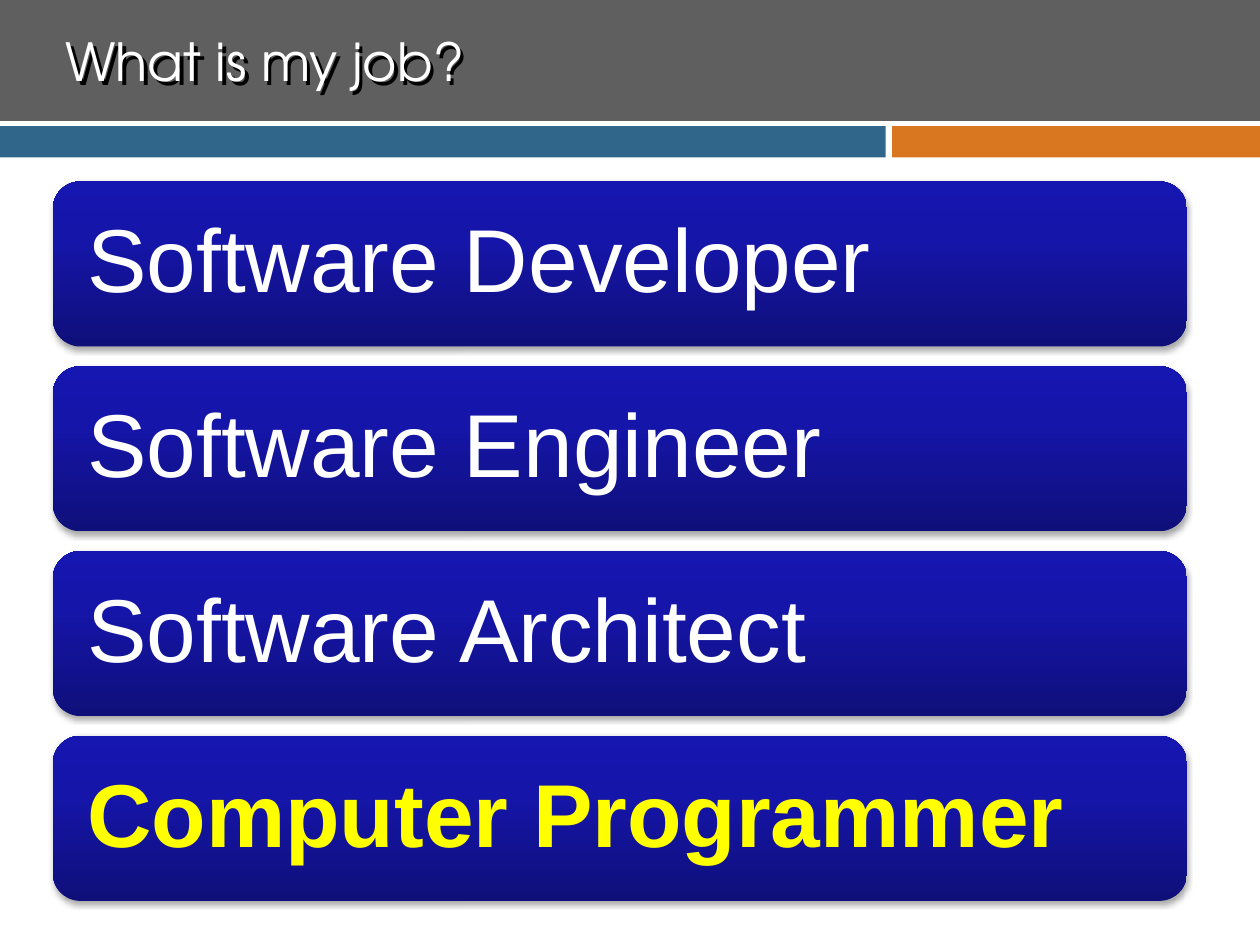
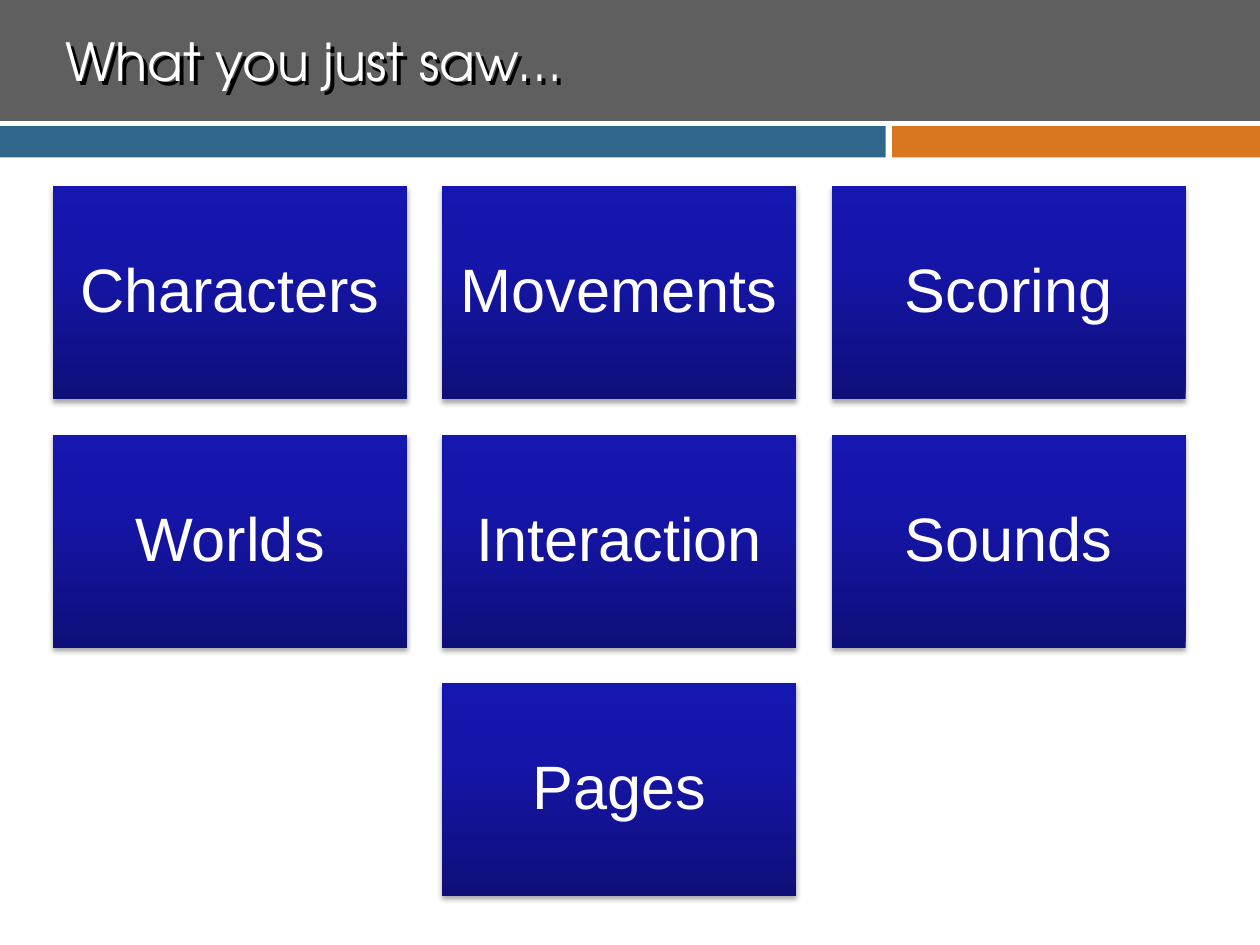
from dataclasses import dataclass

from lxml.etree import SubElement
from pptx import Presentation
from pptx.dml.color import RGBColor
from pptx.enum.shapes import MSO_SHAPE as Preset
from pptx.enum.text import MSO_ANCHOR as Anchor, PP_ALIGN as Align
from pptx.oxml.ns import qn
from pptx.util import Inches, Pt


@dataclass(frozen=True)
class Theme:
    """Colours, fonts and type sizes of the deck."""
    header: str = "5F5F5F"
    band: str = "31668B"
    accent: str = "D8771F"
    text: str = "FFFFFF"
    highlight: str = "FFFF00"
    shadow: str = "000000"
    gradient: tuple = ((0, "0F0F7A"), (65, "1515A9"), (100, "1616B1"))
    title_font: str = "TeX Gyre Adventor"
    body_font: str = "Arial"
    title_size: int = 30
    bar_size: int = 51
    tile_size: int = 35


@dataclass(frozen=True)
class Box:
    """A rectangle in inches."""
    left: float
    top: float
    width: float
    height: float

    def lengths(self):
        """Return the four sides as slide lengths."""
        return [Inches(side) for side in (self.left, self.top, self.width, self.height)]


THEME = Theme()
TITLE_BOX = Box(0.42, 0.08, 9.08, 0.8)
BAR_BOX = Box(0.42, 1.44, 9, 5.71)
TILE_BOX = Box(0.42, 1.48, 8.99, 5.63)
JOBS = ["Software Developer", "Software Engineer", "Software Architect", "Computer Programmer"]
CURRENT_JOB = "Computer Programmer"
GAME_PARTS = ["Characters", "Movements", "Scoring", "Worlds", "Interaction", "Sounds", "Pages"]


def add_shadow(shape, blur, distance, direction, opacity):
    """Give a shape, or the text of an unfilled one, an outer shadow."""
    effects = SubElement(shape._element.spPr, qn("a:effectLst"))
    shadow = SubElement(effects, qn("a:outerShdw"), blurRad=str(Pt(blur)),
                        dist=str(Pt(distance)), dir=str(direction * 60000),
                        algn="ctr", rotWithShape="0")
    color = SubElement(shadow, qn("a:srgbClr"), val=THEME.shadow)
    SubElement(color, qn("a:alpha"), val=str(opacity * 1000))


def add_gradient(shape):
    """Fill a shape with the theme gradient, rising from the bottom."""
    properties = shape._element.spPr
    gradient = SubElement(properties, qn("a:gradFill"), rotWithShape="1")
    stops = SubElement(gradient, qn("a:gsLst"))
    for position, color in THEME.gradient:
        stop = SubElement(stops, qn("a:gs"), pos=str(position * 1000))
        SubElement(stop, qn("a:srgbClr"), val=color)
    SubElement(gradient, qn("a:lin"), ang=str(270 * 60000), scaled="0")
    shape.line.fill.background()


def write_text(shape, text, *, size, font=THEME.body_font, color=THEME.text, bold=False,
               align=Align.LEFT, inset=0.1, line_spacing=1.0):
    """Write one formatted paragraph in a shape."""
    frame = shape.text_frame
    frame.word_wrap = True
    frame.vertical_anchor = Anchor.MIDDLE
    frame.margin_left = frame.margin_right = Inches(inset)
    frame.margin_top = frame.margin_bottom = Inches(inset)
    paragraph = frame.paragraphs[0]
    paragraph.alignment = align
    paragraph.line_spacing = line_spacing
    run = paragraph.add_run()
    run.text = text
    run.font.name = font
    run.font.size = Pt(size)
    run.font.bold = bold
    run.font.color.rgb = RGBColor.from_string(color)


def add_band(slide, box, color):
    """Add a flat rectangle."""
    shape = slide.shapes.add_shape(Preset.RECTANGLE, *box.lengths())
    shape.shadow.inherit = False
    shape.fill.solid()
    shape.fill.fore_color.rgb = RGBColor.from_string(color)
    shape.line.fill.background()


def add_card(slide, preset, box, text, **text_format):
    """Add a gradient card with a soft shadow and a label."""
    shape = slide.shapes.add_shape(preset, *box.lengths())
    add_gradient(shape)
    add_shadow(shape, blur=3.1, distance=2, direction=90, opacity=35)
    write_text(shape, text, line_spacing=0.9, **text_format)


def add_titled_slide(presentation, title):
    """Add a slide with the shared header bands and title."""
    slide = presentation.slides.add_slide(presentation.slide_layouts[6])
    add_band(slide, Box(0, 0, 10, 0.96), THEME.header)
    add_band(slide, Box(7.08, 1, 2.92, 0.25), THEME.accent)
    add_band(slide, Box(0, 1, 7.03, 0.25), THEME.band)
    title_shape = slide.shapes.add_textbox(*TITLE_BOX.lengths())
    add_shadow(title_shape, blur=0, distance=3, direction=45, opacity=100)
    write_text(title_shape, title, size=THEME.title_size, font=THEME.title_font)
    return slide


def add_job_bars(slide, box, jobs, bar_height=1.31):
    """Stack one rounded bar per job evenly over the box."""
    pitch = (box.height - bar_height) / (len(jobs) - 1)
    for index, job in enumerate(jobs):
        current = job == CURRENT_JOB
        bar = Box(box.left, box.top + index * pitch, box.width, bar_height)
        add_card(slide, Preset.ROUNDED_RECTANGLE, bar, job, size=THEME.bar_size, inset=0.21,
                 bold=current, color=THEME.highlight if current else THEME.text)


def add_tile_grid(slide, box, labels, columns=3, gap=0.28):
    """Lay tiles out in rows, each row centred in the box."""
    rows = [labels[start:start + columns] for start in range(0, len(labels), columns)]
    width = (box.width - gap * (columns - 1)) / columns
    height = (box.height - gap * (len(rows) - 1)) / len(rows)
    for row_index, row in enumerate(rows):
        left = box.left + (columns - len(row)) * (width + gap) / 2
        top = box.top + row_index * (height + gap)
        for column_index, label in enumerate(row):
            tile = Box(left + column_index * (width + gap), top, width, height)
            add_card(slide, Preset.RECTANGLE, tile, label, size=THEME.tile_size,
                     align=Align.CENTER, inset=0.1)


def main():
    """Build and save the presentation."""
    presentation = Presentation()
    presentation.slide_width, presentation.slide_height = Inches(10), Inches(7.5)
    add_job_bars(add_titled_slide(presentation, "What is my job?"), BAR_BOX, JOBS)
    add_tile_grid(add_titled_slide(presentation, "What you just saw…"), TILE_BOX, GAME_PARTS)
    presentation.save("out.pptx")


if __name__ == "__main__":
    main()
